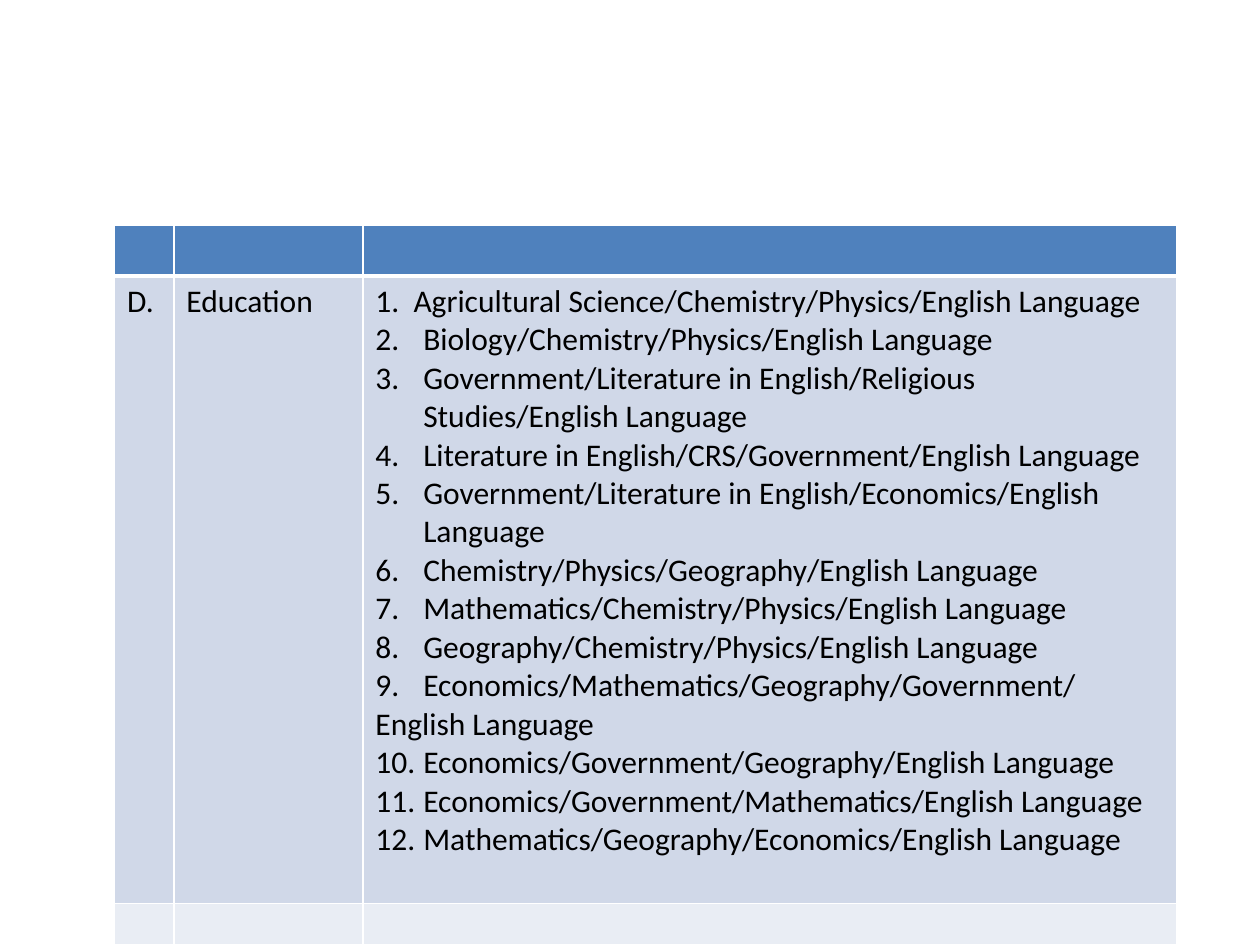
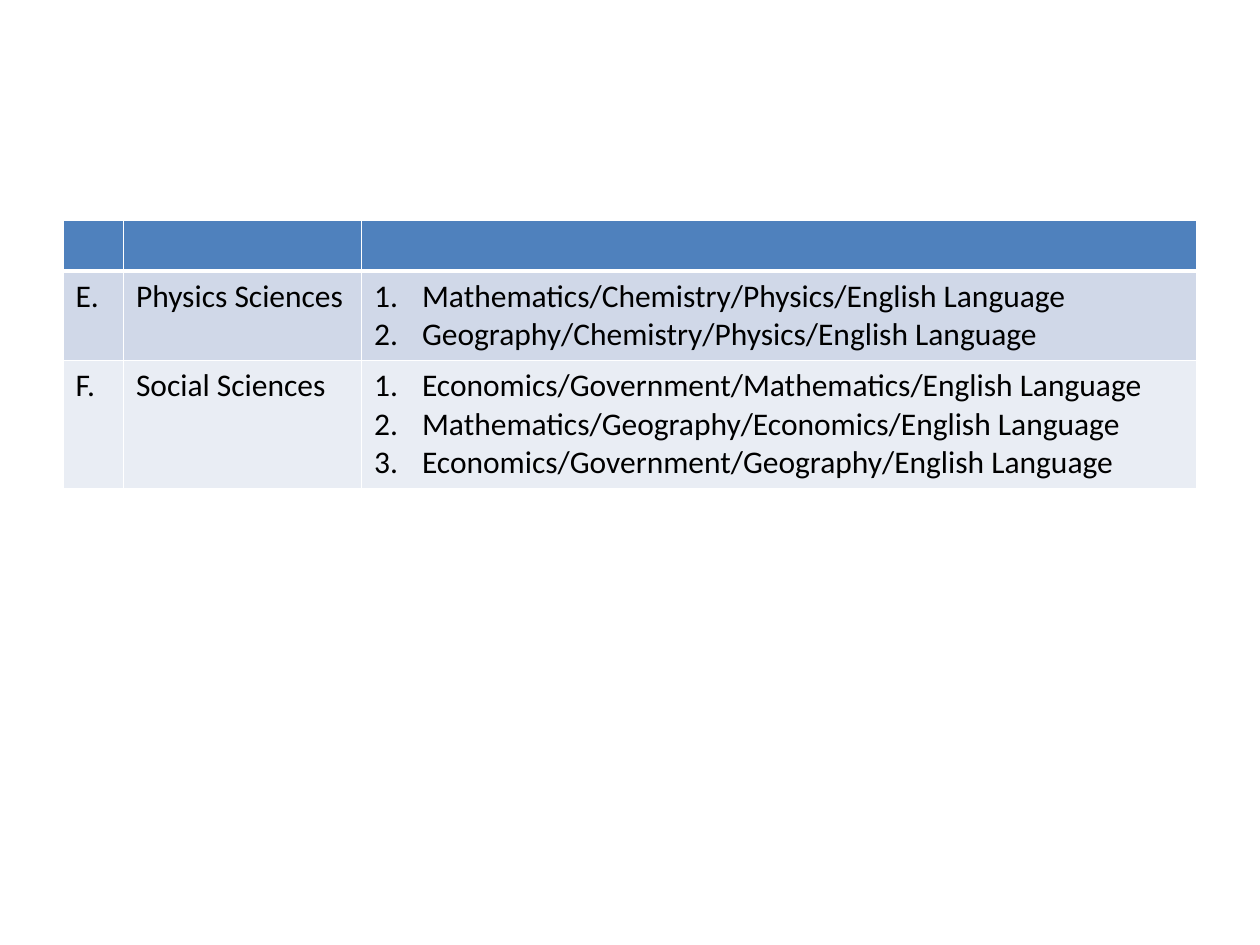
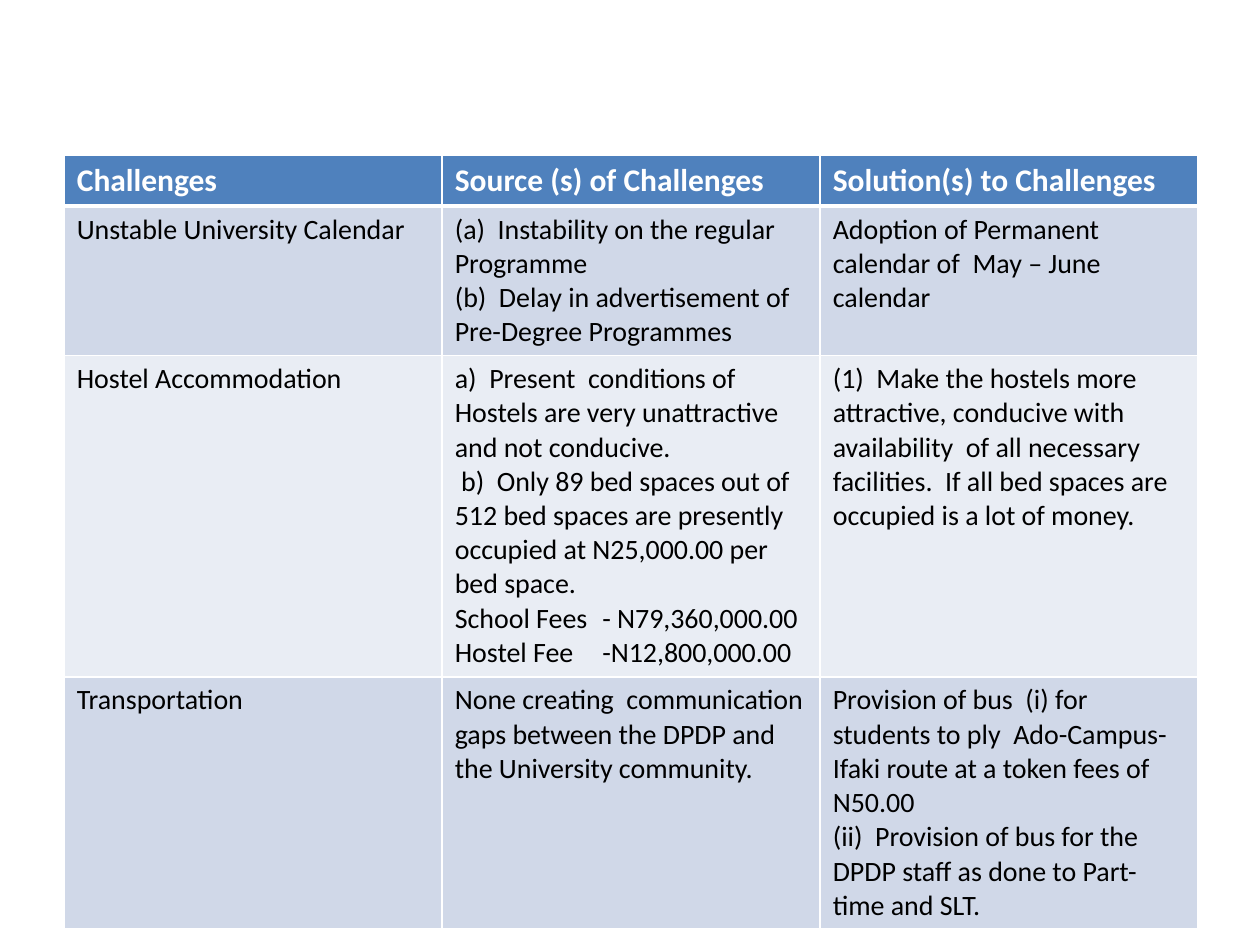
"""Build three slides of subject-combination and challenge tables."""
from lxml.etree import SubElement
from pptx import Presentation
from pptx.dml.color import RGBColor
from pptx.oxml.ns import qn
from pptx.util import Inches, Pt

COLORS = {
    "header": "4F81BD",
    "odd": "D0D8E8",
    "even": "E9EDF4",
    "line": "FFFFFF",
    "header_text": "FFFFFF",
    "text": "000000",
}
FONT = "Calibri"
HANG = 0.38
FEE_TAB = 1.17


def numbered(*texts, start=1):
    """Return paragraph specs that share one automatic numbering."""
    return [{"text": text, "start": start} for text in texts]


def add_text(p, text, size=18, color="text", bold=False, start=None, indent=0, tab=None):
    """Write one formatted paragraph, optionally numbered, indented or tabbed."""
    pPr = p._p.get_or_add_pPr()
    if start:
        pPr.set("marL", str(Inches(HANG)))
        pPr.set("indent", str(-Inches(HANG)))
        SubElement(pPr, qn("a:buFont"), typeface="+mj-lt")
        SubElement(pPr, qn("a:buAutoNum"), type="arabicPeriod", startAt=str(start))
    elif indent:
        pPr.set("indent", str(Inches(indent)))
    if tab:
        tabs = SubElement(pPr, qn("a:tabLst"))
        SubElement(tabs, qn("a:tab"), pos=str(Inches(tab)), algn="l")
    r = p.add_run()
    r.text = text
    r.font.name = FONT
    r.font.size = Pt(size)
    r.font.bold = bold
    r.font.color.rgb = RGBColor.from_string(COLORS[color])


def set_borders(cell, top, bottom):
    """Draw the four cell borders, with widths in points for top and bottom."""
    tcPr = cell._tc.get_or_add_tcPr()
    for side, width in (("L", 1), ("R", 1), ("T", top), ("B", bottom)):
        ln = SubElement(tcPr, qn(f"a:ln{side}"), w=str(Pt(width)))
        fill = SubElement(ln, qn("a:solidFill"))
        SubElement(fill, qn("a:srgbClr"), val=COLORS["line"])


def fill_cell(cell, content, row, size):
    """Style a cell by its row and write its paragraphs."""
    set_borders(cell, top=3 if row == 1 else 1, bottom=3 if row == 0 else 1)
    band = "header" if row == 0 else "odd" if row % 2 else "even"
    cell.fill.solid()
    cell.fill.fore_color.rgb = RGBColor.from_string(COLORS[band])
    style = {"color": "header_text", "bold": True} if row == 0 else {"size": size}
    items = content if isinstance(content, list) else [content]
    tf = cell.text_frame
    for i, item in enumerate(items):
        p = tf.paragraphs[0] if i == 0 else tf.add_paragraph()
        if item:
            spec = item if isinstance(item, dict) else {"text": item}
            add_text(p, **style, **spec)
    if not any(items):
        cell.margin_top = cell.margin_bottom = 0


def add_table_slide(prs, left, top, widths, heights, rows, size=18):
    """Add a blank slide holding one banded table."""
    s = prs.slides.add_slide(prs.slide_layouts[6])
    table = s.shapes.add_table(
        len(rows), len(widths), Inches(left), Inches(top),
        Inches(sum(widths)), Inches(sum(heights))).table
    for column, width in zip(table.columns, widths):
        column.width = Inches(width)
    for r, (height, row) in enumerate(zip(heights, rows)):
        table.rows[r].height = Inches(height)
        for c, content in enumerate(row):
            fill_cell(table.cell(r, c), content, r, size)


def main():
    """Build and save the presentation."""
    prs = Presentation()
    prs.slide_width, prs.slide_height = Inches(10), Inches(7.5)
    empty_row = ["", "", ""]

    education = [
        "1.  Agricultural Science/Chemistry/Physics/English Language",
        *numbered(
            "Biology/Chemistry/Physics/English Language",
            "Government/Literature in English/Religious Studies/English Language",
            "Literature in English/CRS/Government/English Language",
            "Government/Literature in English/Economics/English Language",
            "Chemistry/Physics/Geography/English Language",
            "Mathematics/Chemistry/Physics/English Language",
            "Geography/Chemistry/Physics/English Language",
            "Economics/Mathematics/Geography/Government/",
            start=2),
        "English Language",
        *numbered(
            "Economics/Government/Geography/English Language",
            "Economics/Government/Mathematics/English Language",
            "Mathematics/Geography/Economics/English Language",
            start=10),
    ]
    add_table_slide(
        prs, 0.91, 1.79, [0.47, 1.5, 6.46], [0.4, 4.98, 0.33],
        [empty_row, ["D.", "Education", education], empty_row])

    physics = numbered(
        "Mathematics/Chemistry/Physics/English Language",
        "Geography/Chemistry/Physics/English Language")
    social = numbered(
        "Economics/Government/Mathematics/English Language",
        "Mathematics/Geography/Economics/English Language",
        "Economics/Government/Geography/English Language")
    add_table_slide(
        prs, 0.5, 1.75, [0.48, 1.89, 6.63], [0.4, 0.71, 1],
        [empty_row, ["E.", "Physics Sciences", physics], ["F.", "Social Sciences", social]])

    challenges = [
        ["Challenges", "Source (s) of Challenges", "Solution(s) to Challenges"],
        ["Unstable University Calendar",
         ["(a)  Instability on the regular Programme",
          "(b)  Delay in advertisement of Pre-Degree Programmes"],
         "Adoption of Permanent calendar of  May – June calendar"],
        ["Hostel Accommodation",
         ["a)  Present  conditions of Hostels are very unattractive and not conducive.",
          {"text": "b)  Only 89 bed spaces out of 512 bed spaces are presently "
                   "occupied at N25,000.00 per bed space.", "indent": 0.05},
          {"text": "School Fees\t- N79,360,000.00", "tab": FEE_TAB},
          {"text": "Hostel Fee\t-N12,800,000.00", "tab": FEE_TAB}],
         "(1)  Make the hostels more attractive, conducive with availability  of all "
         "necessary facilities.  If all bed spaces are occupied is a lot of money."],
        ["Transportation",
         "None creating  communication gaps between the DPDP and the University community.",
         ["Provision of bus  (i) for students to ply  Ado-Campus-Ifaki route at a "
          "token fees of N50.00",
          "(ii)  Provision of bus for the DPDP staff as done to Part-time and SLT."]],
    ]
    add_table_slide(
        prs, 0.51, 1.23, [3, 3, 3], [0.4, 1.18, 2.55, 2], challenges, size=16)

    prs.save("out.pptx")


if __name__ == "__main__":
    main()
